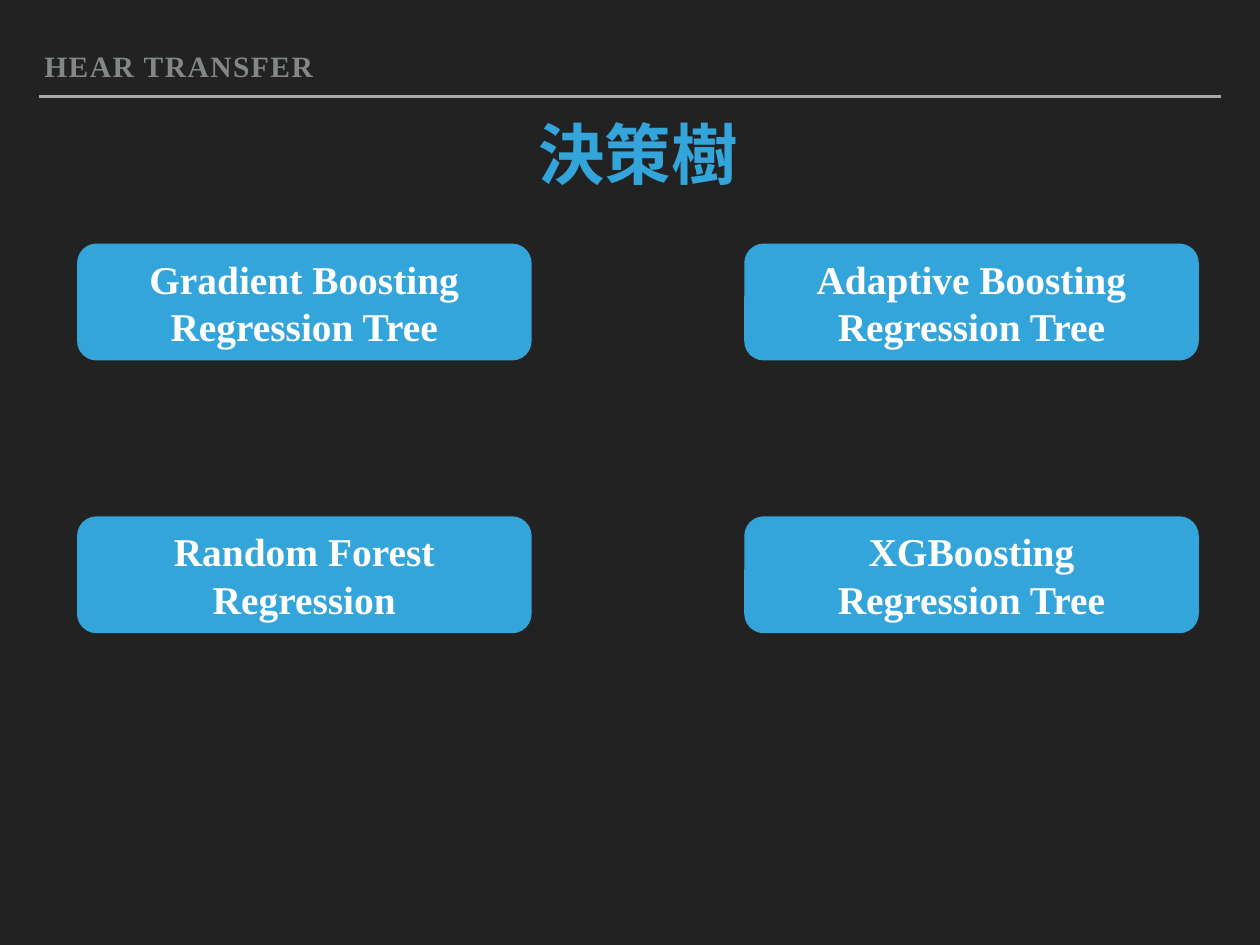
from pptx import Presentation
from pptx.dml.color import RGBColor
from pptx.enum.shapes import MSO_CONNECTOR, MSO_SHAPE
from pptx.enum.text import MSO_ANCHOR, MSO_AUTO_SIZE, PP_ALIGN
from pptx.oxml.ns import qn
from pptx.util import Inches, Pt
from lxml import etree

HEADER = "HEAR TRANSFER"
TITLE = "決策樹"
MODELS = [
    ("Gradient Boosting", "Regression Tree"),
    ("Adaptive Boosting", "Regression Tree"),
    ("Random Forest", "Regression"),
    ("XGBoosting", "Regression Tree"),
]

DARK = RGBColor(0x22, 0x22, 0x22)
BLUE = RGBColor(0x34, 0xA5, 0xDA)
WHITE = RGBColor(0xFF, 0xFF, 0xFF)
GRAY = RGBColor(0x83, 0x87, 0x87)
RULE = RGBColor(0xA6, 0xAA, 0xA9)
FONT = "Times New Roman"

LEFT, CENTER = PP_ALIGN.LEFT, PP_ALIGN.CENTER
TOP, MIDDLE, BOTTOM = MSO_ANCHOR.TOP, MSO_ANCHOR.MIDDLE, MSO_ANCHOR.BOTTOM
NO_FIT = MSO_AUTO_SIZE.NONE
ROUNDED = MSO_SHAPE.ROUNDED_RECTANGLE
STRAIGHT = MSO_CONNECTOR.STRAIGHT

COLUMNS = 2
GRID_LEFT, GRID_TOP = 0.87, 2.75
STEP_X, STEP_Y = 7.53, 3.08
BOX_W, BOX_H = 5.13, 1.32


def place(sp, left, top, width, height):
    """Move and size a shape, in inches."""
    sp.left, sp.top = Inches(left), Inches(top)
    sp.width, sp.height = Inches(width), Inches(height)


def write(sp, lines, size, color, align=CENTER, anchor=MIDDLE,
          line_spacing=1.0, before=0, tracking=0):
    """Fill a shape with one formatted paragraph per line."""
    tf = sp.text_frame
    tf.word_wrap = True
    tf.auto_size = NO_FIT
    tf.vertical_anchor = anchor
    tf.margin_left = tf.margin_right = Inches(0.06)
    tf.margin_top = tf.margin_bottom = Inches(0.06)
    for i, line in enumerate(lines):
        p = tf.add_paragraph() if i else tf.paragraphs[0]
        p.alignment = align
        p.line_spacing = line_spacing
        p.space_before = Pt(before)
        r = p.add_run()
        r.text = line
        r.font.name = FONT
        r.font.size = Pt(size)
        r.font.bold = True
        r.font.color.rgb = color
        if tracking:
            r.font._element.set("spc", str(round(tracking * 100)))


def main():
    """Build the decision tree slide and save it."""
    prs = Presentation()
    prs.slide_width, prs.slide_height = Inches(14.22), Inches(10.67)
    s = prs.slides.add_slide(prs.slide_layouts[2])
    s.background.fill.solid()
    s.background.fill.fore_color.rgb = DARK

    rule = s.shapes.add_connector(
        STRAIGHT, Inches(0.44), Inches(1.09), Inches(13.78), Inches(1.09))
    rule.line.color.rgb = RULE
    rule.line.width = Pt(2)
    etree.SubElement(rule._element.spPr, qn("a:effectLst"))

    title, header = s.shapes.title, s.placeholders[1]
    place(title, 6, 1.39, 2.4, 0.79)
    write(title, [TITLE], 54, BLUE, anchor=TOP, line_spacing=0.8, before=28)
    place(header, 0.44, 0.56, 12.22, 0.44)
    write(header, [HEADER], 24, GRAY, align=LEFT, anchor=BOTTOM,
          line_spacing=0.8, tracking=1.2)

    for i, lines in enumerate(MODELS):
        row, col = divmod(i, COLUMNS)
        sp = s.shapes.add_shape(ROUNDED, 0, 0, 0, 0)
        place(sp, GRID_LEFT + col * STEP_X, GRID_TOP + row * STEP_Y, BOX_W, BOX_H)
        sp.shadow.inherit = False
        sp.fill.solid()
        sp.fill.fore_color.rgb = BLUE
        sp.line.fill.background()
        write(sp, lines, 32, WHITE)

    prs.save("out.pptx")


if __name__ == "__main__":
    main()
